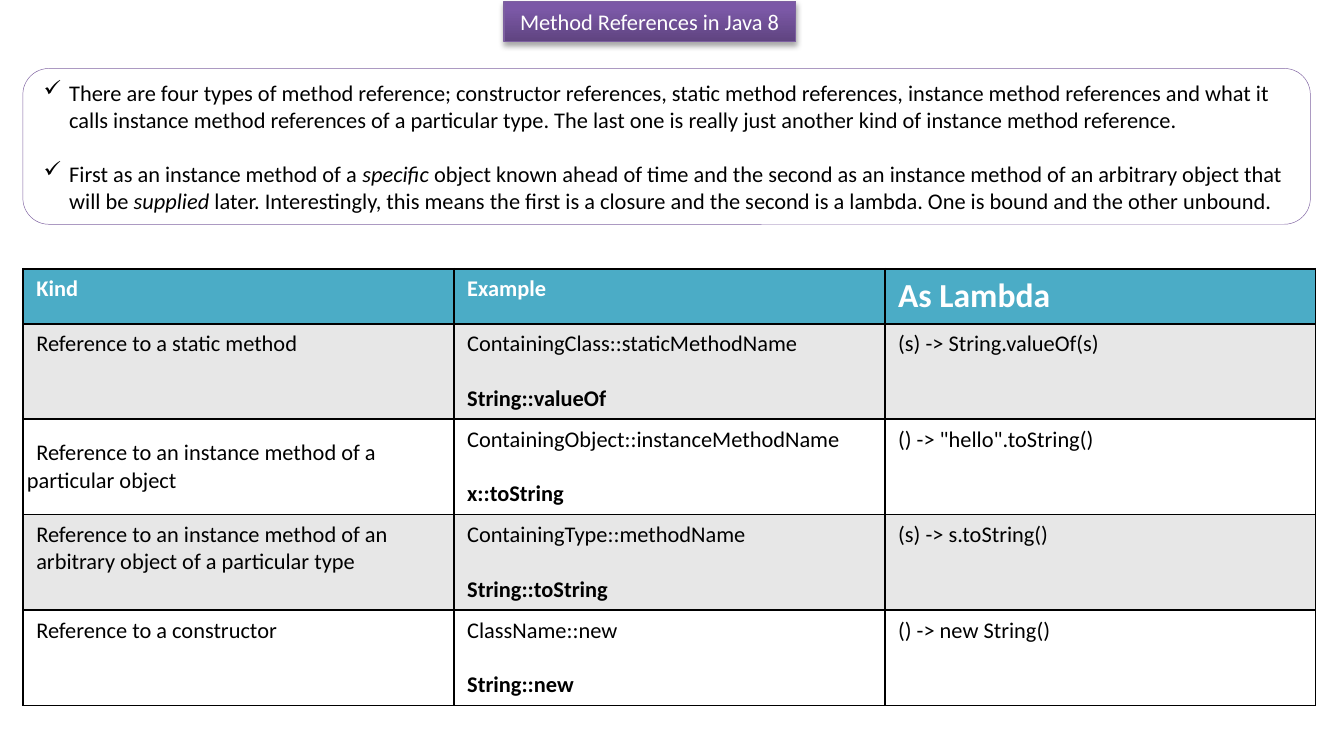
import pptx
import pptx.util
import pptx.dml.color
import pptx.enum.shapes
import pptx.enum.text
import pptx.oxml
import pptx.oxml.ns

PX = 9144  # one px is a hundredth of an inch
FONT = "Calibri"
COLORS = {
    "black": "000000", "white": "FFFFFF", "band": "E7E7E7", "header": "4BACC6",
    "title_dark": "5F4480", "title_light": "7B58A6", "title_line": "7D60A0",
    "outline": "8064A2",
}
LINE_GAP = 14.65  # one empty line of 12 pt text
MAIN_NS = pptx.oxml.ns.nsdecls("a")

# Each note is a list of (text, italic) spans
NOTES = [
    [("There are four types of method reference; constructor references, static "
      "method references, instance method references and what it calls instance "
      "method references of a particular type. The last one is really just another "
      "kind of instance method reference.", False)],
    [("First as an instance method of a ", False), ("specific", True),
     (" object known ahead of time and the second as an instance method of an "
      "arbitrary object that will be ", False), ("supplied", True),
     (" later. Interestingly, this means the first is a closure and the second is "
      "a lambda. One is bound and the other unbound.", False)],
]
HEADERS = [("Kind", 12), ("Example", 12), ("As Lambda", 18)]
# Kind, general form, concrete example, lambda
REFERENCES = [
    ("Reference to a static method", "ContainingClass::staticMethodName",
     "String::valueOf", "(s) -> String.valueOf(s)"),
    ("Reference to an instance method of a particular object",
     "ContainingObject::instanceMethodName", "x::toString",
     '() -> "hello".toString()'),
    ("Reference to an instance method of an arbitrary object of a particular type",
     "ContainingType::methodName", "String::toString", "(s) -> s.toString()"),
    ("Reference to a constructor", "ClassName::new", "String::new",
     "() -> new String()"),
]


def px(length):
    return pptx.util.Emu(length * PX)


def color(name):
    return pptx.dml.color.RGBColor.from_string(COLORS[name])


def add_text(para, text, size=12, fill="black", bold=False, italic=False):
    span = para.add_run()
    span.text = text
    font = span.font
    font.name, font.size = FONT, pptx.util.Pt(size)
    font.bold, font.italic = bold, italic
    font.color.rgb = color(fill)


def set_indent(para, margin, indent, bullet=None):
    properties = para._p.get_or_add_pPr()
    properties.set("marL", str(margin * PX))
    properties.set("indent", str(indent * PX))
    if bullet:
        properties.append(pptx.oxml.parse_xml(
            f'<a:buChar {MAIN_NS} char="{bullet}"/>'))


def set_outline(shape, name, width):
    shape.line.color.rgb = color(name)
    shape.line.width = pptx.util.Pt(width)


def fill_cell(cell, name):
    # Borders come before the fill
    properties = cell._tc.get_or_add_tcPr()
    for side in ("lnL", "lnR", "lnT", "lnB"):
        properties.append(pptx.oxml.parse_xml(
            f'<a:{side} {MAIN_NS} w="12700"><a:solidFill>'
            f'<a:srgbClr val="{COLORS["black"]}"/></a:solidFill></a:{side}>'))
    cell.fill.solid()
    cell.fill.fore_color.rgb = color(name)


def place_title(page, left, top, width, height):
    title = page.shapes.title
    title.left, title.top = px(left), px(top)
    title.width, title.height = px(width), px(height)
    title.fill.gradient()
    title.fill.gradient_angle = 90
    for stop, (name, position) in zip(title.fill.gradient_stops,
                                      [("title_dark", 0), ("title_light", 0.8)]):
        stop.color.rgb = color(name)
        stop.position = position
    set_outline(title, "title_line", 0.75)
    # Soft shadow below the title
    title.shadow.inherit = False
    effects = title._element.spPr.find(pptx.oxml.ns.qn("a:effectLst"))
    effects.append(pptx.oxml.parse_xml(
        f'<a:outerShdw {MAIN_NS} blurRad="40000" dist="23000" dir="5400000" '
        f'rotWithShape="0"><a:srgbClr val="{COLORS["black"]}">'
        '<a:alpha val="35000"/></a:srgbClr></a:outerShdw>'))
    frame = title.text_frame
    frame.auto_size = pptx.enum.text.MSO_AUTO_SIZE.NONE
    frame.vertical_anchor = pptx.enum.text.MSO_ANCHOR.TOP
    para = frame.paragraphs[0]
    para.alignment = pptx.enum.text.PP_ALIGN.CENTER
    add_text(para, "Method References in Java 8", fill="white")


def place_notes(page, left, top, width, height):
    box = page.shapes.add_shape(pptx.enum.shapes.MSO_SHAPE.ROUNDED_RECTANGLE,
                                px(left), px(top), px(width), px(height))
    box.shadow.inherit = False
    box.fill.solid()
    box.fill.fore_color.rgb = color("white")
    set_outline(box, "outline", 0.25)
    frame = box.text_frame
    frame.word_wrap = True
    frame.vertical_anchor = pptx.enum.text.MSO_ANCHOR.MIDDLE
    for index, note in enumerate(NOTES):
        para = frame.add_paragraph() if index else frame.paragraphs[0]
        para.alignment = pptx.enum.text.PP_ALIGN.LEFT
        if index:
            para.space_before = pptx.util.Pt(LINE_GAP)
        set_indent(para, 19, -19, bullet="✓")
        for text, italic in note:
            add_text(para, text, italic=italic)


def place_table(page, left, top, width, header_height, row_height):
    height = header_height + row_height * len(REFERENCES)
    table = page.shapes.add_table(len(REFERENCES) + 1, len(HEADERS), px(left),
                                  px(top), px(width), px(height)).table
    for row in table.rows:
        row.height = px(row_height)
    table.rows[0].height = px(header_height)

    # Header row
    for column, (text, size) in enumerate(HEADERS):
        cell = table.cell(0, column)
        fill_cell(cell, "header")
        add_text(cell.text_frame.paragraphs[0], text, size, "white", bold=True)

    # Banded rows
    for row, (kind, form, example, as_lambda) in enumerate(REFERENCES, start=1):
        cells = [table.cell(row, column) for column in range(len(HEADERS))]
        for cell, text in zip(cells, (kind, form, as_lambda)):
            fill_cell(cell, "band" if row % 2 else "white")
            add_text(cell.text_frame.paragraphs[0], text)
        para = cells[1].text_frame.add_paragraph()
        para.space_before = pptx.util.Pt(LINE_GAP)
        add_text(para, example, bold=True)

    # The second kind is centred vertically with a first-line indent
    cell = table.cell(2, 0)
    cell.vertical_anchor = pptx.enum.text.MSO_ANCHOR.MIDDLE
    cell.margin_left = cell.margin_right = px(3)
    set_indent(cell.text_frame.paragraphs[0], 0, 7)


def main():
    deck = pptx.Presentation()
    deck.slide_width, deck.slide_height = px(1000), px(550)
    page = deck.slides.add_slide(deck.slide_layouts[5])
    place_title(page, 375, 1, 217, 30)
    place_notes(page, 17, 51, 958, 116)
    place_table(page, 17, 200, 962, header_height=41, row_height=70)
    deck.save("out.pptx")


if __name__ == "__main__":
    main()
